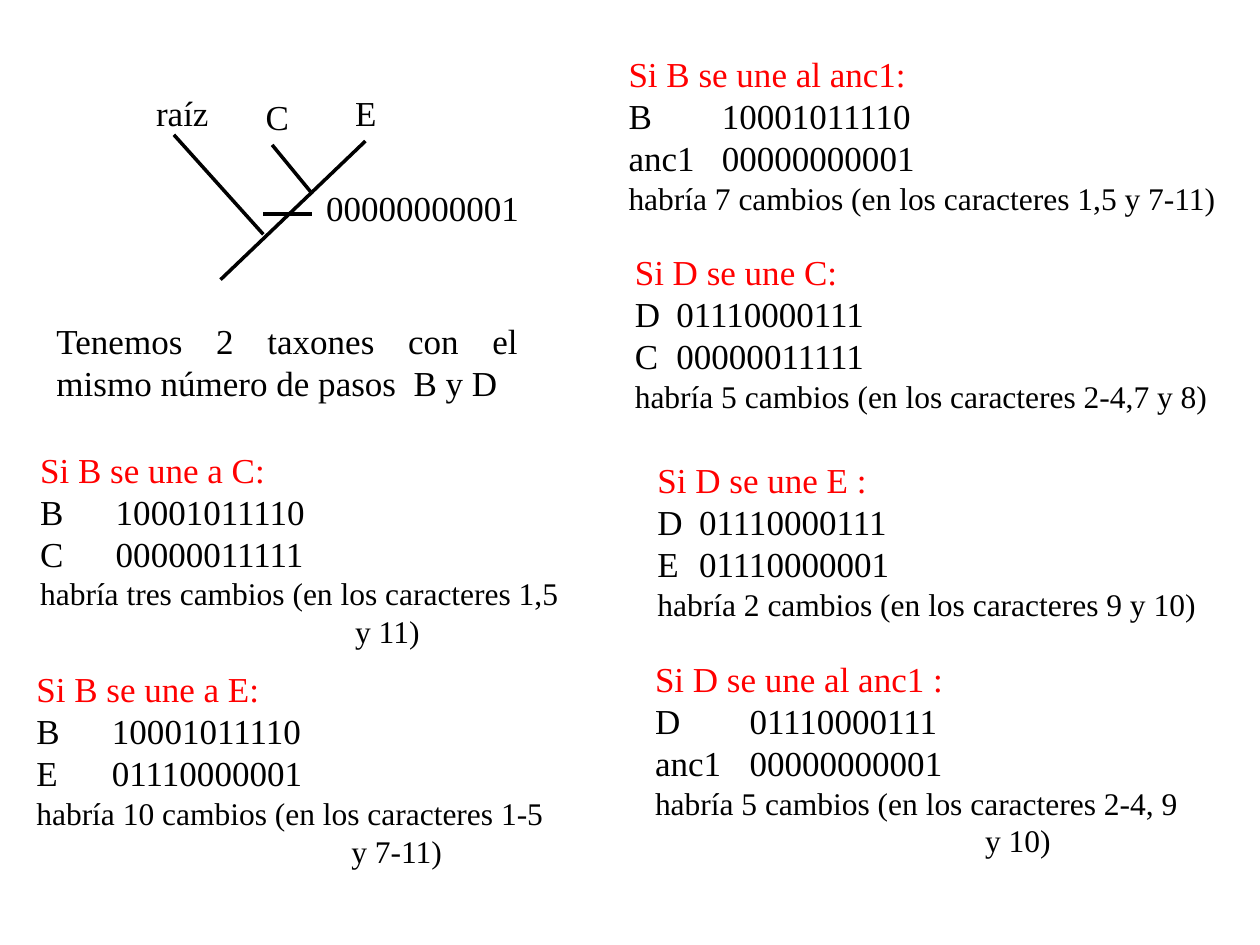
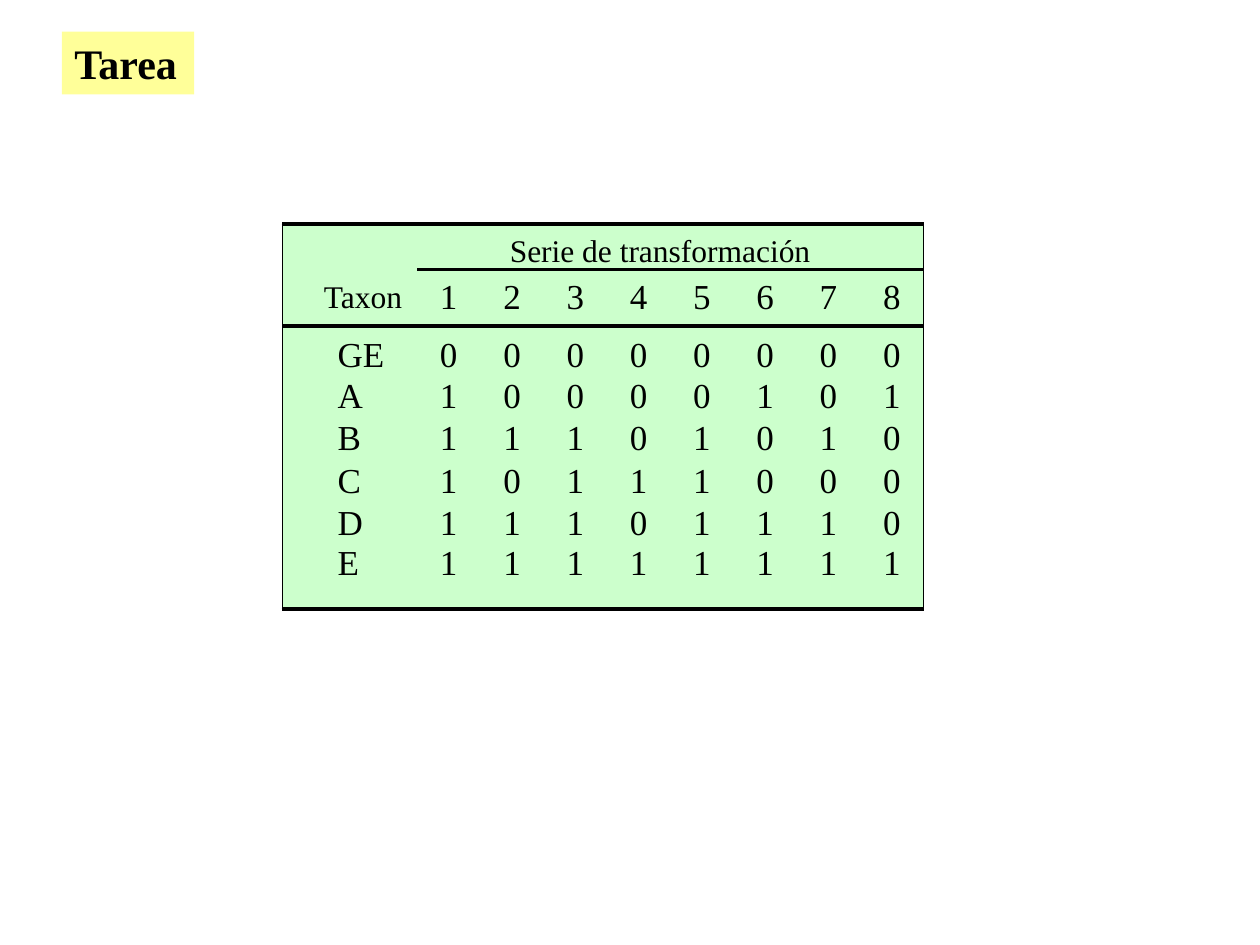
from lxml import etree
from pptx import Presentation, util as u
from pptx.dml.color import RGBColor
from pptx.enum import shapes, text
from pptx.oxml.ns import qn

WIDTH, HEIGHT = u.Inches(10), u.Inches(7.5)
CELL = WIDTH / 100
FONT = "Times New Roman"
BLACK = RGBColor(0, 0, 0)
RED = RGBColor(0xFF, 0, 0)
YELLOW = RGBColor(0xFF, 0xFF, 0x99)
GREEN = RGBColor(0xCC, 0xFF, 0xCC)
BODY, NOTE, HEADING = 20, 18, 24

BRANCHES = [
    (29, 11.2, 17.5, 22.2),
    (20.9, 18.6, 13.8, 10.7),
    (24.8, 15.4, 21.6, 11.5),
    (20.9, 17, 24.8, 17),
]
TREE_LABELS = [
    ("raíz", 11.4, 6.8, 6.1),
    ("E", 27.2, 6.8, 3.7),
    ("C", 20.1, 7.1, 3.8),
    ("00000000001", 24.9, 14.3, 17.3),
]
B, C, D = ("B", "10001011110"), ("C", "00000011111"), ("D", "01110000111")
E, ANCESTOR = ("E", "01110000001"), ("anc1", "00000000001")
UNIONS = [
    (2.2, 35.1, 43.1, "Si B se une a C:", B, C, 6,
     "habría tres cambios (en los caracteres 1,5", "y 11)", 25),
    (1.9, 52.5, 42.9, "Si B se une a E:", B, E, 6,
     "habría 10 cambios (en los caracteres 1-5", "y 7-11)", 25),
    (48.9, 3.7, 48.7, "Si B se une al anc1:", B, ANCESTOR, 7.4,
     "habría 7 cambios (en los caracteres 1,5 y 7-11)", "", 0),
    (49.4, 19.4, 47.4, "Si D se une C:", D, C, 3.3,
     "habría 5 cambios (en los caracteres 2-4,7 y 8)", "", 0),
    (51.2, 35.9, 44.7, "Si D se une E :", D, E, 3.3,
     "habría 2 cambios (en los caracteres 9 y 10)", "", 0),
    (51, 51.7, 43.5, "Si D se une al anc1 :", D, ANCESTOR, 7.5,
     "habría 5 cambios (en los caracteres 2-4, 9", "y 10)", 26.2),
]

MATRIX = {
    "GE": "00000000",
    "A": "10000101",
    "B": "11101010",
    "C": "10111000",
    "D": "11101110",
    "E": "11111111",
}
MATRIX_LEFT, MATRIX_TOP, MATRIX_WIDTH = 22.4, 17.8, 50.9
MATRIX_RIGHT = MATRIX_LEFT + MATRIX_WIDTH
TAXON_WIDTH = 10.7
ROW_HEIGHTS = [3.6, 4.5, 3.9, 3.4, 3.3, 3.4, 3.3, 5.1]


def grid(*cells):
    return [round(cell * CELL) for cell in cells]


def add_run(paragraph, words, size=BODY, color=BLACK, bold=False):
    run = paragraph.add_run()
    run.text = words
    run.font.name, run.font.size = FONT, u.Pt(size)
    run.font.color.rgb, run.font.bold = color, bold


def add_box(slide, left, top, width, height, wrap=False):
    frame = slide.shapes.add_textbox(*grid(left, top, width, height)).text_frame
    frame.word_wrap = wrap
    if not wrap:
        frame.margin_right = 0
    return frame


def set_tab(paragraph, position):
    stops = etree.SubElement(paragraph._p.get_or_add_pPr(), qn("a:tabLst"))
    etree.SubElement(stops, qn("a:tab"), pos=str(grid(position)[0]), algn="l")


def add_line(slide, *ends, weight=2):
    line = slide.shapes.add_connector(shapes.MSO_CONNECTOR.STRAIGHT, *grid(*ends))
    line.line.color.rgb, line.line.width = BLACK, u.Pt(weight)
    etree.SubElement(line._element.spPr, qn("a:effectLst"))


def add_union(slide, left, top, width, heading, taxon, partner, tab, changes, rest, indent):
    frame = add_box(slide, left, top, width, 17 if rest else 14)
    add_run(frame.paragraphs[0], heading, color=RED)
    for label, states in (taxon, partner):
        sequence = frame.add_paragraph()
        set_tab(sequence, tab)
        add_run(sequence, f"{label}\t{states}")
    add_run(frame.add_paragraph(), changes, NOTE)
    if rest:
        ending = frame.add_paragraph()
        ending._p.get_or_add_pPr().set("marL", str(grid(indent)[0]))
        add_run(ending, rest, NOTE)


def add_title(slide, words):
    title = slide.shapes.title
    title.left, title.top, title.width, title.height = grid(4.9, 2.5, 10.5, 5)
    title.fill.solid()
    title.fill.fore_color.rgb = YELLOW
    frame = title.text_frame
    frame.word_wrap = False
    frame.auto_size = text.MSO_AUTO_SIZE.NONE
    frame.vertical_anchor = text.MSO_ANCHOR.MIDDLE
    frame.paragraphs[0].alignment = text.PP_ALIGN.LEFT
    add_run(frame.paragraphs[0], words, HEADING, bold=True)


def set_borders(cell, outer_sides):
    for side in "LRTB":
        edge = etree.SubElement(cell._tc.get_or_add_tcPr(), qn(f"a:ln{side}"),
                                w=str(u.Pt(0.75)))
        if side in outer_sides:
            paint = etree.SubElement(edge, qn("a:solidFill"))
            etree.SubElement(paint, qn("a:srgbClr"), val=str(BLACK))
        else:
            etree.SubElement(edge, qn("a:noFill"))


def fill_cell(cell, words, size, anchor, indent=None):
    cell.margin_top = cell.margin_bottom = cell.margin_left = cell.margin_right = 0
    cell.vertical_anchor = anchor
    paragraph = cell.text_frame.paragraphs[0]
    paragraph.alignment = text.PP_ALIGN.CENTER
    if indent:
        cell.margin_left = grid(indent)[0]
        paragraph.alignment = text.PP_ALIGN.LEFT
    if words:
        add_run(paragraph, words, size)
    else:
        paragraph.font.size = u.Pt(size)


def add_matrix(slide):
    rows = [["", "Serie de transformación"] + [""] * 7, ["Taxon", *"12345678"]]
    rows += [[taxon, *states] for taxon, states in MATRIX.items()]
    last_row, last_column = len(rows) - 1, len(rows[0]) - 1
    table = slide.shapes.add_table(
        len(rows), len(rows[0]),
        *grid(MATRIX_LEFT, MATRIX_TOP, MATRIX_WIDTH, sum(ROW_HEIGHTS))).table
    table.first_row = table.horz_banding = False
    state_width = (MATRIX_WIDTH - TAXON_WIDTH) / last_column
    for number, column in enumerate(table.columns):
        column.width = grid(state_width if number else TAXON_WIDTH)[0]
    for row, height in zip(table.rows, ROW_HEIGHTS):
        row.height = grid(height)[0]
    series = table.cell(0, 1)
    series.merge(table.cell(0, last_column))

    anchors = {0: text.MSO_ANCHOR.BOTTOM, 2: text.MSO_ANCHOR.BOTTOM,
               last_row: text.MSO_ANCHOR.TOP}
    for r, values in enumerate(rows):
        for c, value in enumerate(values):
            cell = table.cell(r, c)
            outer = {"L": c == 0, "T": r == 0, "B": r == last_row,
                     "R": c == last_column or (r == 0 and c == 1)}
            set_borders(cell, [side for side, shown in outer.items() if shown])
            cell.fill.solid()
            cell.fill.fore_color.rgb = GREEN
            small = r == 0 or (r == 1 and c == 0)
            indent = None if c else (3.3 if r < 2 else 4.4)
            fill_cell(cell, value, NOTE if small else BODY,
                      anchors.get(r, text.MSO_ANCHOR.MIDDLE), indent)
    series.margin_right = grid(1.6)[0]


def add_matrix_rules(slide):
    for rows_above, start, weight in [
        (0, MATRIX_LEFT, 2.25),
        (1, MATRIX_LEFT + TAXON_WIDTH, 1.5),
        (2, MATRIX_LEFT, 2.25),
        (len(ROW_HEIGHTS), MATRIX_LEFT, 2.25),
    ]:
        level = MATRIX_TOP + sum(ROW_HEIGHTS[:rows_above])
        add_line(slide, start, level, MATRIX_RIGHT, level, weight=weight)


def build_tree_slide(deck):
    slide = deck.slides.add_slide(deck.slide_layouts[6])
    for branch in BRANCHES:
        add_line(slide, *branch)
    for label, left, top, width in TREE_LABELS:
        add_run(add_box(slide, left, top, width, 4.4).paragraphs[0], label)
    summary = add_box(slide, 3.5, 24.9, 38.6, 7.7, wrap=True).paragraphs[0]
    summary.alignment = text.PP_ALIGN.JUSTIFY
    add_run(summary, "Tenemos 2 taxones con el mismo número de pasos  B y D")
    for union in UNIONS:
        add_union(slide, *union)


def build_task_slide(deck):
    slide = deck.slides.add_slide(deck.slide_layouts[5])
    add_title(slide, "Tarea")
    add_matrix(slide)
    add_matrix_rules(slide)


def main():
    deck = Presentation()
    deck.slide_width, deck.slide_height = WIDTH, HEIGHT
    build_tree_slide(deck)
    build_task_slide(deck)
    deck.save("out.pptx")


if __name__ == "__main__":
    main()
